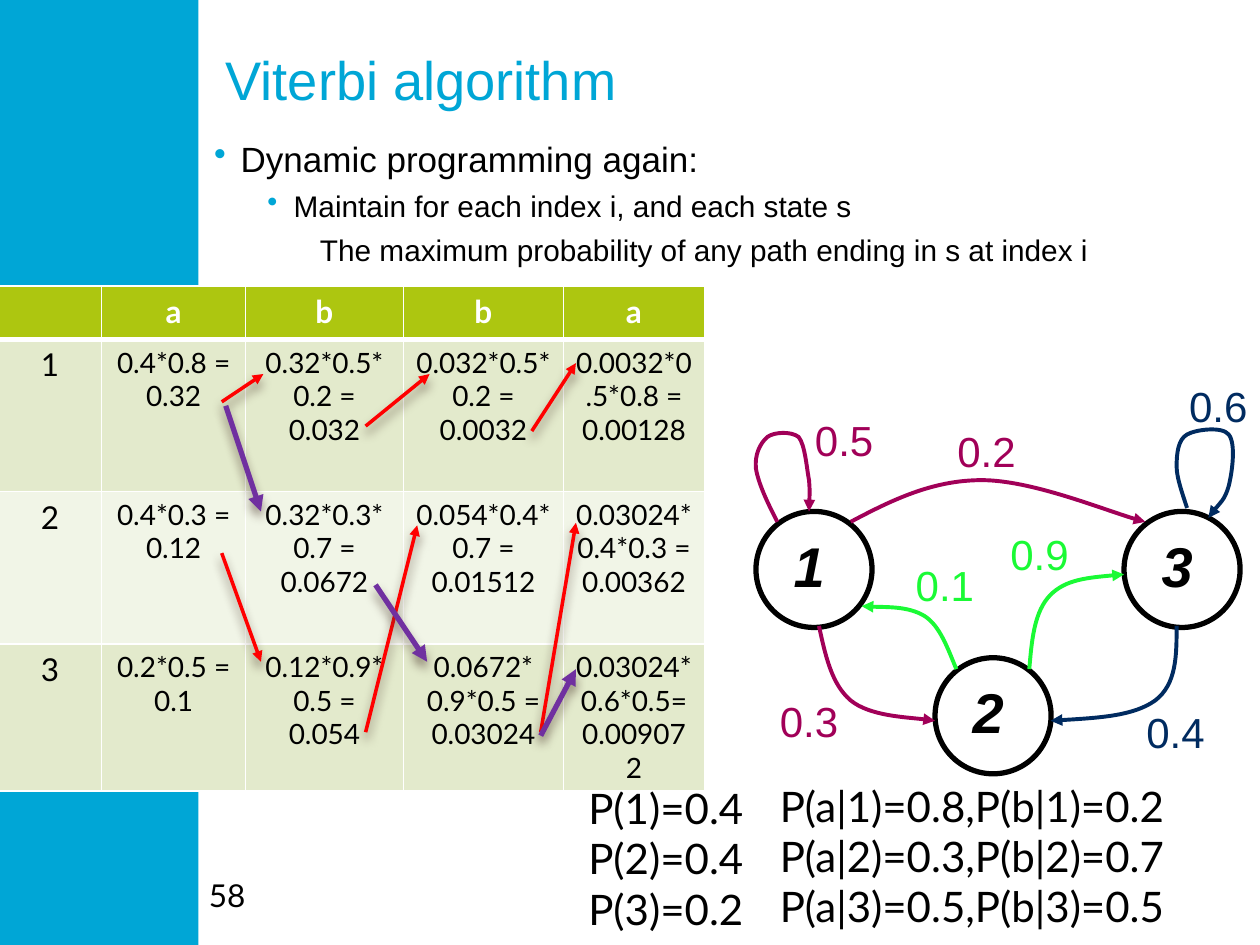
import pptx
import pptx.enum.shapes
import pptx.enum.text
import pptx.oxml
import pptx.oxml.ns
import pptx.util
from dataclasses import dataclass
from lxml import etree
from pptx.dml.color import RGBColor
from pptx.util import Cm, Pt

qn = pptx.oxml.ns.qn


@dataclass(frozen=True)
class Theme:
    sans: str = "Arial"
    lato: str = "Lato"
    cyan: str = "00A6D6"
    black: str = "000000"
    white: str = "FFFFFF"
    header: str = "ADC610"
    bands: tuple = ("E3EACC", "F1F5E7")
    plum: str = "A10058"
    navy: str = "002B60"
    green: str = "1AFA35"
    red: str = "FF0000"
    purple: str = "7030A0"
    shadow: str = "4E3B30"
    title_size: int = 31
    bullet_sizes: tuple = (20, 17, 17)
    state_size: int = 32
    formula_size: int = 24
    table_size: int = 18
    cell_size: int = 16


def add_child(parent, tag, **attributes):
    return etree.SubElement(parent, qn(tag), {key: str(value) for key, value in attributes.items()})


class SlideBuilder:
    def __init__(self, slide, theme):
        self.slide = slide
        self.shapes = slide.shapes
        self.theme = theme

    def style(self, paragraph, font, size, color, bold=False, italic=False):
        paragraph.font.name = font
        paragraph.font.size = Pt(size)
        paragraph.font.bold = bold
        paragraph.font.italic = italic
        paragraph.font.color.rgb = RGBColor.from_string(color)

    def indent(self, paragraph, margin, first):
        properties = paragraph._p.get_or_add_pPr()
        properties.set("marL", str(Cm(margin)))
        properties.set("indent", str(Cm(first)))
        return properties

    def clear_insets(self, frame):
        frame.margin_left = frame.margin_top = frame.margin_right = frame.margin_bottom = 0
        frame.vertical_anchor = pptx.enum.text.MSO_ANCHOR.TOP

    def title(self, text, left, top, width, height):
        title = self.shapes.title
        title.left, title.top, title.width, title.height = map(Cm, (left, top, width, height))
        frame = title.text_frame
        frame.text = text
        frame.word_wrap = True
        self.clear_insets(frame)
        paragraph = frame.paragraphs[0]
        self.indent(paragraph, 2.39, -2.39)
        paragraph.alignment = pptx.enum.text.PP_ALIGN.LEFT
        self.style(paragraph, self.theme.sans, self.theme.title_size, self.theme.cyan)

    def text(self, lines, left, top, width, height, font, size, color, wrap=False, **emphasis):
        frame = self.shapes.add_textbox(Cm(left), Cm(top), Cm(width), Cm(height)).text_frame
        frame.text = "\n".join(lines)
        frame.word_wrap = wrap
        for paragraph in frame.paragraphs:
            self.style(paragraph, font, size, color, **emphasis)

    def outline(self, items, left, top, width, height):
        frame = self.shapes.add_textbox(Cm(left), Cm(top), Cm(width), Cm(height)).text_frame
        frame.text = "\n".join(text for text, *_ in items)
        frame.word_wrap = True
        self.clear_insets(frame)
        for level, (paragraph, (_, margin, first)) in enumerate(zip(frame.paragraphs, items)):
            paragraph.level = level
            properties = self.indent(paragraph, margin, first)
            if first:
                add_child(add_child(properties, "a:buClr"), "a:srgbClr", val=self.theme.cyan)
                add_child(properties, "a:buChar", char="•")
            paragraph.line_spacing = Pt(25)
            self.style(paragraph, self.theme.sans, self.theme.bullet_sizes[level], self.theme.black)

    def shape(self, kind, left, top, width, height, fill, line=None):
        shape = self.shapes.add_shape(kind, Cm(left), Cm(top), Cm(width), Cm(height))
        shape.shadow.inherit = False
        shape.fill.solid()
        shape.fill.fore_color.rgb = RGBColor.from_string(fill)
        if line:
            shape.line.color.rgb = RGBColor.from_string(line)
            shape.line.width = Pt(3)
        else:
            shape.line.fill.background()

    def state(self, name, left, top):
        self.shape(pptx.enum.shapes.MSO_SHAPE.OVAL, left, top, 2.34, 2.34, self.theme.white, self.theme.black)
        self.text([name], left + 0.51, top + 0.28, 1.14, 1.6, self.theme.sans,
                  self.theme.state_size, self.theme.black, bold=True, italic=True)

    def arrow_line(self, shape, color, width):
        shape.line.color.rgb = RGBColor.from_string(color)
        shape.line.width = Pt(width)
        add_child(shape.element.spPr.find(qn("a:ln")), "a:tailEnd", type="triangle")

    def transition(self, label, position, color, points):
        """Curved arrow: a start point, then three Bezier points per segment."""
        start, *rest = [(Cm(x), Cm(y)) for x, y in points]
        builder = self.shapes.build_freeform(*start)
        builder.add_line_segments(rest, close=False)
        curve = builder.convert_to_shape()
        segments = list(curve.element.iter(qn("a:lnTo")))
        for first, second, third in zip(segments[::3], segments[1::3], segments[2::3]):
            first.tag = qn("a:cubicBezTo")
            for segment in (second, third):
                first.append(segment[0])
                segment.getparent().remove(segment)
        curve.fill.background()
        curve.shadow.inherit = False
        self.arrow_line(curve, color, 2.25)
        self.text([label], *position, 1.68, 1.27, self.theme.sans, self.theme.formula_size, color)

    def path_arrow(self, start, end, color, width):
        connector = self.shapes.add_connector(
            pptx.enum.shapes.MSO_CONNECTOR.STRAIGHT, *map(Cm, start + end))
        self.arrow_line(connector, color, width)
        effects = add_child(connector.element.spPr, "a:effectLst")
        shadow = add_child(effects, "a:outerShdw", blurRad=Pt(6), dist=Pt(4), dir=5400000, rotWithShape=0)
        add_child(add_child(shadow, "a:srgbClr", val=self.theme.shadow), "a:alpha", val=60000)

    def border(self, cell, sides):
        properties = cell._tc.get_or_add_tcPr()
        for index, (side, width) in enumerate(sides.items()):
            line = pptx.oxml.parse_xml(f'<a:{side} {pptx.oxml.ns.nsdecls("a")} w="{Pt(width)}"/>')
            add_child(add_child(line, "a:solidFill"), "a:srgbClr", val=self.theme.white)
            properties.insert(index, line)

    def table(self, rows, left, top, widths, heights):
        theme = self.theme
        table = self.shapes.add_table(len(rows), len(widths), Cm(left), Cm(top),
                                      Cm(sum(widths)), Cm(sum(heights))).table
        for column, width in zip(table.columns, widths):
            column.width = Cm(width)
        for row, height in zip(table.rows, heights):
            row.height = Cm(height)
        for i, values in enumerate(rows):
            for j, value in enumerate(values):
                cell = table.cell(i, j)
                cell.text = value
                cell.fill.solid()
                fill = theme.bands[(i - 1) % 2] if i else theme.header
                cell.fill.fore_color.rgb = RGBColor.from_string(fill)
                self.border(cell, {"lnL": 1, "lnR": 1, "lnT": 3 if i == 1 else 1, "lnB": 1 if i else 3})
                paragraph = cell.text_frame.paragraphs[0]
                paragraph.alignment = pptx.enum.text.PP_ALIGN.CENTER
                self.style(paragraph, theme.lato, theme.cell_size if i and j else theme.table_size,
                           theme.black if i else theme.white, bold=i == 0)


def main():
    theme = Theme()
    presentation = pptx.Presentation()
    presentation.slide_width, presentation.slide_height = Cm(25.4), Cm(19.05)
    builder = SlideBuilder(presentation.slides.add_slide(presentation.slide_layouts[5]), theme)

    # Side band, title and outline
    builder.shape(pptx.enum.shapes.MSO_SHAPE.RECTANGLE, 0, 0, 4, 19.05, theme.cyan)
    builder.title("Viterbi algorithm", 4.55, 0.94, 19.56, 2.95)
    builder.outline([("Dynamic programming again:", 0.53, -0.53),
                     ("Maintain for each index i, and each state s", 1.6, -0.53),
                     ("The maximum probability of any path ending in s at index i", 2.13, 0)],
                    4.32, 2.74, 19.56, 13.36)

    # Probability table
    builder.table([
        ["", "a", "b", "b", "a"],
        ["1", "0.4*0.8 = 0.32", "0.32*0.5* 0.2 = 0.032", "0.032*0.5*0.2 = 0.0032", "0.0032*0.5*0.8 = 0.00128"],
        ["2", "0.4*0.3 = 0.12", "0.32*0.3* 0.7 = 0.0672", "0.054*0.4*0.7 = 0.01512", "0.03024*0.4*0.3 = 0.00362"],
        ["3", "0.2*0.5 = 0.1", "0.12*0.9*0.5 = 0.054", "0.0672* 0.9*0.5 = 0.03024", "0.03024*0.6*0.5= 0.009072"],
    ], -0.03, 5.77, [2.08, 2.9, 3.18, 3.23, 2.84], [1.07, 3.07, 3.07, 2.36])

    # States and transitions
    for name, left, top in [("1", 15.24, 10.31), ("3", 22.66, 10.31), ("2", 18.85, 13.26)]:
        builder.state(name, left, top)
    for transition in [
        ("0.5", (16.18, 8.23), theme.plum, [
            (15.67, 10.52), (15.47, 10.13), (15.29, 9.75), (15.24, 9.45), (15.21, 9.17), (15.32, 8.94),
            (15.47, 8.81), (15.6, 8.71), (15.95, 8.69), (16.1, 8.81), (16.23, 8.97), (16.26, 9.42),
            (16.31, 9.68), (16.33, 9.93), (16.31, 10.21), (16.31, 10.31)]),
        ("0.2", (19.05, 8.46), theme.plum, [
            (17.15, 10.52), (17.98, 10.08), (18.8, 9.68), (19.79, 9.68), (20.78, 9.68), (22.53, 10.39), (23.09, 10.52)]),
        ("0.3", (15.47, 13.89), theme.plum, [
            (16.51, 12.62), (16.64, 13.21), (16.76, 13.79), (17.15, 14.12), (17.53, 14.43), (18.57, 14.48), (18.85, 14.53)]),
        ("0.1", (18.21, 11.15), theme.green, [
            (19.28, 13.49), (19.1, 13.06), (18.95, 12.62), (18.64, 12.42), (18.31, 12.22), (17.58, 12.24), (17.37, 12.22)]),
        ("0.6", (23.72, 7.54), theme.navy, [
            (23.93, 10.24), (23.83, 9.93), (23.72, 9.63), (23.72, 9.4), (23.72, 9.14), (23.75, 8.86),
            (23.93, 8.76), (24.1, 8.66), (24.64, 8.59), (24.77, 8.76), (24.92, 8.94), (24.84, 9.52),
            (24.77, 9.8), (24.69, 10.08), (24.41, 10.34), (24.36, 10.44)]),
        ("0.4", (22.86, 14.12), theme.navy, [
            (23.72, 12.62), (23.72, 13.21), (23.72, 13.79), (23.29, 14.12), (22.86, 14.43), (22.05, 14.48), (21.18, 14.53)]),
        ("0.9", (20.12, 10.52), theme.green, [
            (20.75, 13.49), (20.8, 12.9), (20.85, 12.32), (21.18, 11.99), (21.49, 11.68), (22.07, 11.63), (22.66, 11.58)]),
    ]:
        builder.transition(*transition)

    # Emission and start probabilities, page number
    formula = (theme.lato, theme.formula_size, theme.black)
    builder.text(["P(a|1)=0.8,P(b|1)=0.2", "P(a|2)=0.3,P(b|2)=0.7", "P(a|3)=0.5,P(b|3)=0.5"],
                 15.47, 15.6, 9.5, 3.33, *formula)
    builder.text(["P(1)=0.4", "P(2)=0.4", "P(3)=0.2"], 11.61, 15.65, 3.94, 3.33, *formula)
    builder.text(["58"], 3.96, 17.53, 5.92, 1.02, theme.lato, theme.table_size, theme.black, wrap=True)

    # Paths through the table: candidates in red, best path in purple
    for color, width, arrows in [
        (theme.red, 2, [((4.47, 8.1), (5.31, 7.54)), ((4.47, 11.15), (5.26, 13.34)),
                        ((7.37, 14.76), (8.41, 10.59)), ((7.37, 8.59), (8.66, 7.54)),
                        ((10.9, 14.76), (11.61, 10.54)), ((10.72, 8.69), (11.61, 7.32))]),
        (theme.purple, 3, [((4.55, 8.18), (5.26, 10.31)), ((7.57, 11.79), (8.61, 13.34)),
                           ((10.9, 14.83), (11.61, 13.49))]),
    ]:
        for start, end in arrows:
            builder.path_arrow(start, end, color, width)

    presentation.save("out.pptx")


if __name__ == "__main__":
    main()
